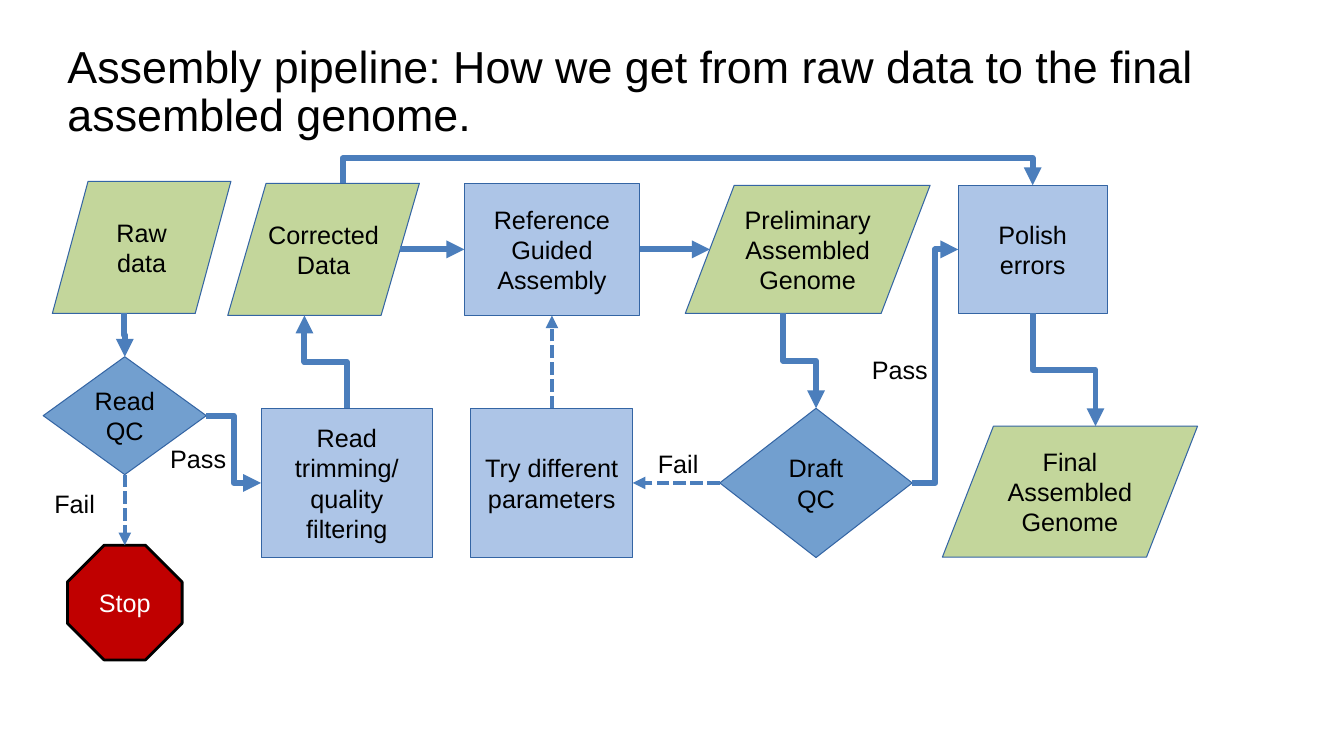
import lxml.etree
import pptx
import pptx.dml.color
import pptx.enum.dml
import pptx.enum.shapes
import pptx.enum.text
import pptx.oxml.ns
import pptx.util

Cm, Pt = pptx.util.Cm, pptx.util.Pt
SHAPE = pptx.enum.shapes.MSO_SHAPE
ALIGN = pptx.enum.text.PP_ALIGN
ANCHOR = pptx.enum.text.MSO_ANCHOR
FIT = pptx.enum.text.MSO_AUTO_SIZE
DASH = pptx.enum.dml.MSO_LINE
ELBOW = pptx.enum.shapes.MSO_CONNECTOR.ELBOW
qn = pptx.oxml.ns.qn

KINDS = {
    "data": dict(preset=SHAPE.FLOWCHART_DATA, fill="C3D69B"),
    "check": dict(preset=SHAPE.FLOWCHART_DECISION, fill="729FCF"),
    "process": dict(preset=SHAPE.RECTANGLE, fill="ADC5E7"),
    "stop": dict(preset=SHAPE.OCTAGON, fill="C00000", ink="FFFFFF",
                 edge="000000", edge_width=2),
}
# Side -> (connection site, share of width, share of height)
SITES = {"top": (0, 0.5, 0), "left": (1, 0, 0.5),
         "bottom": (2, 0.5, 1), "right": (3, 1, 0.5)}
DATA_SITES = {"top": (0, 0.6, 0), "left": (2, 0.1, 0.5),
              "bottom": (3, 0.4, 1), "right": (5, 0.9, 0.5)}


def rgb(code):
    return pptx.dml.color.RGBColor.from_string(code)


def apply(target, formats):
    for name, value in formats.items():
        setattr(target, name, value)


def write(frame, text, size, ink, frame_format, paragraph_format):
    frame.text = text
    apply(frame, frame_format)
    for paragraph in frame.paragraphs:
        apply(paragraph, paragraph_format)
        apply(paragraph.font, dict(name="Arial", size=Pt(size)))
        paragraph.font.color.rgb = rgb(ink)


def add_step(slide, box, kind, text, left, top, width, height, wrap=True):
    """Place a flowchart step, in cm from the corner of its region's box."""
    look = KINDS[kind]
    step = slide.shapes.add_shape(look["preset"], Cm(box[0] + left), Cm(box[1] + top),
                                  Cm(width), Cm(height))
    step.shadow.inherit = False
    step.fill.solid()
    step.fill.fore_color.rgb = rgb(look["fill"])
    step.line.color.rgb = rgb(look.get("edge", "3465A4"))
    step.line.width = Pt(look.get("edge_width", 0.75))
    if kind == "stop":
        step.adjustments[0] = 0.32
    write(step.text_frame, text, 18, look.get("ink", "000000"),
          dict(word_wrap=wrap, vertical_anchor=ANCHOR.MIDDLE),
          dict(alignment=ALIGN.CENTER))
    return step


def add_label(slide, box, text, left, top, width):
    label = slide.shapes.add_textbox(Cm(box[0] + left), Cm(box[1] + top), Cm(width), Cm(1.02))
    write(label.text_frame, text, 18, "000000",
          dict(word_wrap=False, auto_size=FIT.SHAPE_TO_FIT_TEXT), {})


def site_of(step, side):
    is_data = step.auto_shape_type == SHAPE.FLOWCHART_DATA
    index, across, down = (DATA_SITES if is_data else SITES)[side]
    return index, step.left + step.width * across, step.top + step.height * down


def add_flow(slide, source, source_side, target, target_side, dashed=False, detour=None):
    """Link two steps; detour is the distance from the start to the bend."""
    start_site, x1, y1 = site_of(source, source_side)
    end_site, x2, y2 = site_of(target, target_side)
    rotation = 0
    run = x2 - x1
    if source_side in ("top", "bottom"):
        # A vertical start is a horizontal elbow turned about its centre.
        middle_x, middle_y = (x1 + x2) / 2, (y1 + y2) / 2
        downward = y2 > y1
        rotation = 90 if downward else 270
        run = abs(y2 - y1)
        rise = x1 - x2 if downward else x2 - x1
        x1, x2 = middle_x - run / 2, middle_x + run / 2
        y1, y2 = middle_y - rise / 2, middle_y + rise / 2
    flow = slide.shapes.add_connector(ELBOW, *(round(v) for v in (x1, y1, x2, y2)))
    flow.line.color.rgb = rgb("4B7EBC")
    flow.line.width = Pt(3 if dashed else 4.25)
    if dashed:
        flow.line.dash_style = DASH.SQUARE_DOT
    properties = flow._element.spPr
    if rotation:
        properties.find(qn("a:xfrm")).set("rot", str(rotation * 60000))
    if detour is not None:
        guides = properties.find(qn("a:prstGeom")).find(qn("a:avLst"))
        lxml.etree.SubElement(guides, qn("a:gd"), name="adj1",
                              fmla=f"val {round(detour / run * 100000)}")
    lxml.etree.SubElement(properties.find(qn("a:ln")), qn("a:tailEnd"), type="triangle")
    lxml.etree.SubElement(properties, qn("a:effectLst"))
    links = flow._element.find(".//" + qn("p:cNvCxnSpPr"))
    for tag, step, site in (("a:stCxn", source, start_site), ("a:endCxn", target, end_site)):
        if step.auto_shape_type != SHAPE.OCTAGON:
            lxml.etree.SubElement(links, qn(tag), id=str(step.shape_id), idx=str(site))


def add_title(slide, left, top, width, height):
    title = slide.shapes.title
    apply(title, dict(left=Cm(left), top=Cm(top), width=Cm(width), height=Cm(height)))
    write(title.text_frame,
          "Assembly pipeline: How we get from raw data to the final assembled genome.",
          32, "000000",
          dict(word_wrap=True, auto_size=FIT.NONE, vertical_anchor=ANCHOR.MIDDLE,
               margin_left=0, margin_right=0, margin_top=0, margin_bottom=0),
          dict(alignment=ALIGN.LEFT, line_spacing=0.9))


def add_read_preparation(slide, box):
    raw = add_step(slide, box, "data", "Raw data", 0.23, 0, 4.5, 3.33)
    read_qc = add_step(slide, box, "check", "Read QC", 0, 4.42, 4.11, 2.97)
    stop = add_step(slide, box, "stop", "Stop", 0.61, 9.17, 2.89, 2.89)
    trimming = add_step(slide, box, "process", "Read trimming/\nquality filtering",
                        5.49, 5.72, 4.32, 3.76)
    corrected = add_step(slide, box, "data", "Corrected\nData", 4.65, 0.05, 4.83, 3.33, wrap=False)
    add_label(slide, box, "Fail", 0.03, 7.62, 1.55)
    add_label(slide, box, "Pass", 2.95, 6.48, 1.93)
    add_flow(slide, raw, "bottom", read_qc, "top")
    add_flow(slide, read_qc, "bottom", stop, "top", dashed=True)
    add_flow(slide, read_qc, "right", trimming, "left")
    add_flow(slide, trimming, "top", corrected, "bottom")
    return corrected


def add_assembly(slide, box):
    reference = add_step(slide, box, "process", "Reference Guided Assembly", 0, 0.05, 4.42, 3.33)
    preliminary = add_step(slide, box, "data", "Preliminary Assembled Genome",
                           5.57, 0.1, 6.17, 3.23)
    draft_qc = add_step(slide, box, "check", "Draft QC", 6.44, 5.72, 4.85, 3.76)
    retry = add_step(slide, box, "process", "Try different parameters", 0.16, 5.72, 4.09, 3.76)
    add_label(slide, box, "Fail", 4.63, 6.61, 1.55)
    add_label(slide, box, "Pass", 10.02, 4.24, 1.93)
    add_flow(slide, reference, "right", preliminary, "left")
    add_flow(slide, preliminary, "bottom", draft_qc, "top")
    add_flow(slide, draft_qc, "left", retry, "right", dashed=True)
    add_flow(slide, retry, "top", reference, "bottom", dashed=True)
    return reference, draft_qc


def add_polishing(slide, box):
    polish = add_step(slide, box, "process", "Polish errors", 0.4, 0.1, 3.75, 3.23)
    final = add_step(slide, box, "data", "Final Assembled Genome", 0, 6.17, 6.43, 3.3)
    add_flow(slide, polish, "bottom", final, "top")
    return polish


def add_pipeline_slide(deck):
    slide = deck.slides.add_slide(deck.slide_layouts[5])
    add_title(slide, 1.7, 0.76, 30.48, 3.18)
    corrected = add_read_preparation(slide, (1.09, 4.57))
    reference, draft_qc = add_assembly(slide, (11.7, 4.57))
    polish = add_polishing(slide, (23.75, 4.57))
    add_flow(slide, corrected, "right", reference, "left")
    add_flow(slide, draft_qc, "right", polish, "left")
    add_flow(slide, corrected, "top", polish, "top", detour=Cm(-0.63))


def main():
    deck = pptx.Presentation()
    apply(deck, dict(slide_width=Cm(33.87), slide_height=Cm(19.05)))
    add_pipeline_slide(deck)
    deck.save("out.pptx")


if __name__ == "__main__":
    main()
